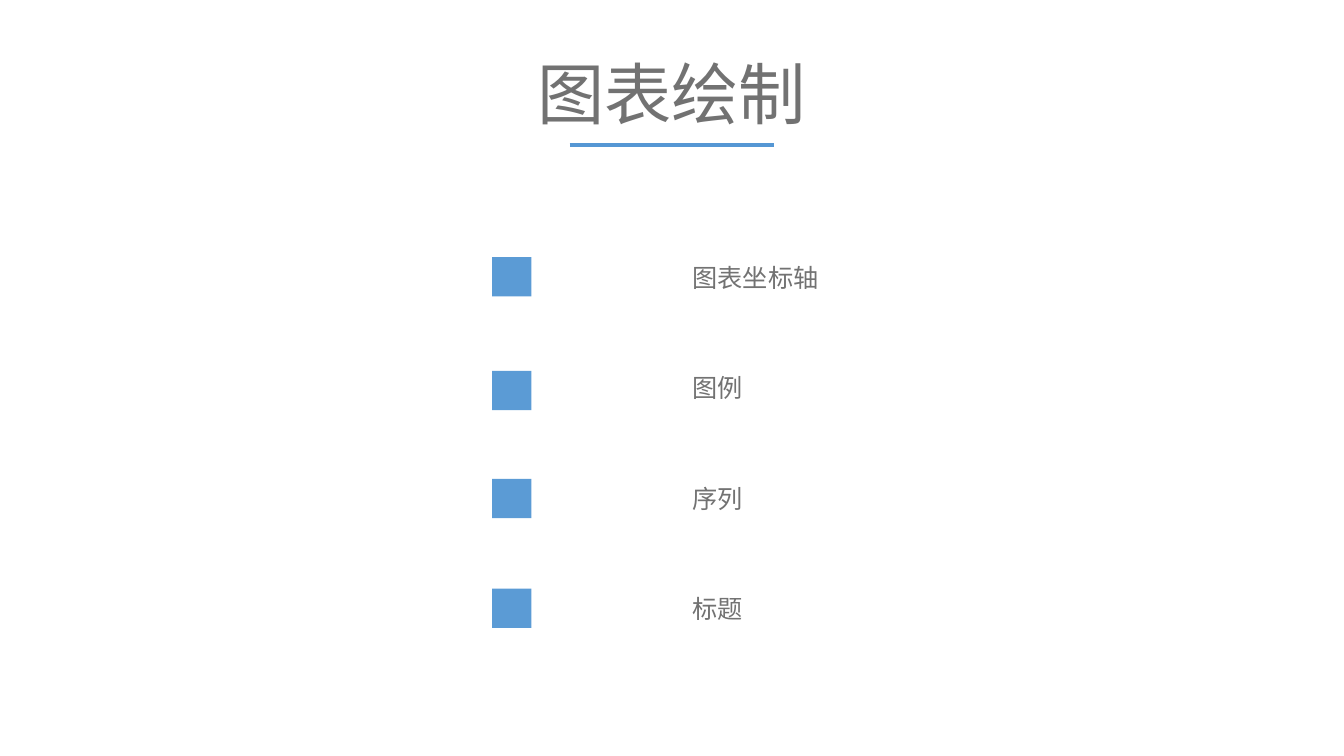
from dataclasses import dataclass

from lxml.etree import SubElement
from pptx import Presentation
from pptx.dml.color import RGBColor
from pptx.enum.shapes import MSO_CONNECTOR, MSO_SHAPE
from pptx.enum.text import MSO_AUTO_SIZE, PP_ALIGN
from pptx.oxml.ns import qn
from pptx.util import Inches, Pt


@dataclass(frozen=True)
class Theme:
    """Colours, font and type sizes of the slide."""
    font: str = "Noto Sans CJK SC"
    text: RGBColor = RGBColor(0x72, 0x72, 0x72)
    marker: RGBColor = RGBColor(0x5B, 0x9B, 0xD5)
    rule: RGBColor = RGBColor(0x55, 0x97, 0xD4)
    title_size: Pt = Pt(48)
    item_size: Pt = Pt(18)
    rule_width: Pt = Pt(2.75)


THEME = Theme()
MARKER_LEFT, MARKER_SIZE = 4.88, 0.39
LABEL_LEFT, LABEL_HEIGHT = 6.77, 0.4

# label, marker top, label top, label width
ITEMS = [
    ("图表坐标轴", 2.55, 2.55, 1.48),
    ("图例", 3.68, 3.64, 1.99),
    ("序列", 4.75, 4.75, 1.57),
    ("标题", 5.84, 5.84, 1.33),
]


def add_text(shapes, text, left, top, width, height, size, align=PP_ALIGN.LEFT):
    """Add a one-line text box in the theme's font and text colour."""
    sp = shapes.add_textbox(Inches(left), Inches(top), Inches(width), Inches(height))
    tf = sp.text_frame
    tf.word_wrap = True
    tf.auto_size = MSO_AUTO_SIZE.SHAPE_TO_FIT_TEXT
    p = tf.paragraphs[0]
    p.text = text
    p.alignment = align
    r = p.runs[0]
    r.font.size = size
    r.font.color.rgb = THEME.text
    r.font.name = THEME.font
    SubElement(r.font._element, qn("a:ea"), typeface=THEME.font)


def add_rule(shapes, left, right, y):
    """Add the horizontal line under the title."""
    line = shapes.add_connector(
        MSO_CONNECTOR.STRAIGHT, Inches(left), Inches(y), Inches(right), Inches(y))
    line.line.color.rgb = THEME.rule
    line.line.width = THEME.rule_width
    SubElement(line._element.spPr, qn("a:effectLst"))


def add_marker(shapes, top):
    """Add the filled square that marks an agenda item."""
    sp = shapes.add_shape(MSO_SHAPE.RECTANGLE, Inches(MARKER_LEFT), Inches(top),
                          Inches(MARKER_SIZE), Inches(MARKER_SIZE))
    sp.shadow.inherit = False
    sp.fill.solid()
    sp.fill.fore_color.rgb = THEME.marker
    sp.line.fill.background()


def add_item(slide, label, marker_top, label_top, label_width):
    """Add one agenda item as a group of marker and label."""
    shapes = slide.shapes.add_group_shape().shapes
    add_marker(shapes, marker_top)
    add_text(shapes, label, LABEL_LEFT, label_top, label_width, LABEL_HEIGHT,
             THEME.item_size)


def main():
    """Build the agenda slide and save it."""
    prs = Presentation()
    prs.slide_width, prs.slide_height = Inches(13.33), Inches(7.5)
    slide = prs.slides.add_slide(prs.slide_layouts[6])
    add_text(slide.shapes, "图表绘制", 4.51, 0.47, 4.3, 0.91,
             THEME.title_size, PP_ALIGN.CENTER)
    add_rule(slide.shapes, 5.65, 7.68, 1.44)
    for item in ITEMS:
        add_item(slide, *item)
    prs.save("out.pptx")


main()
